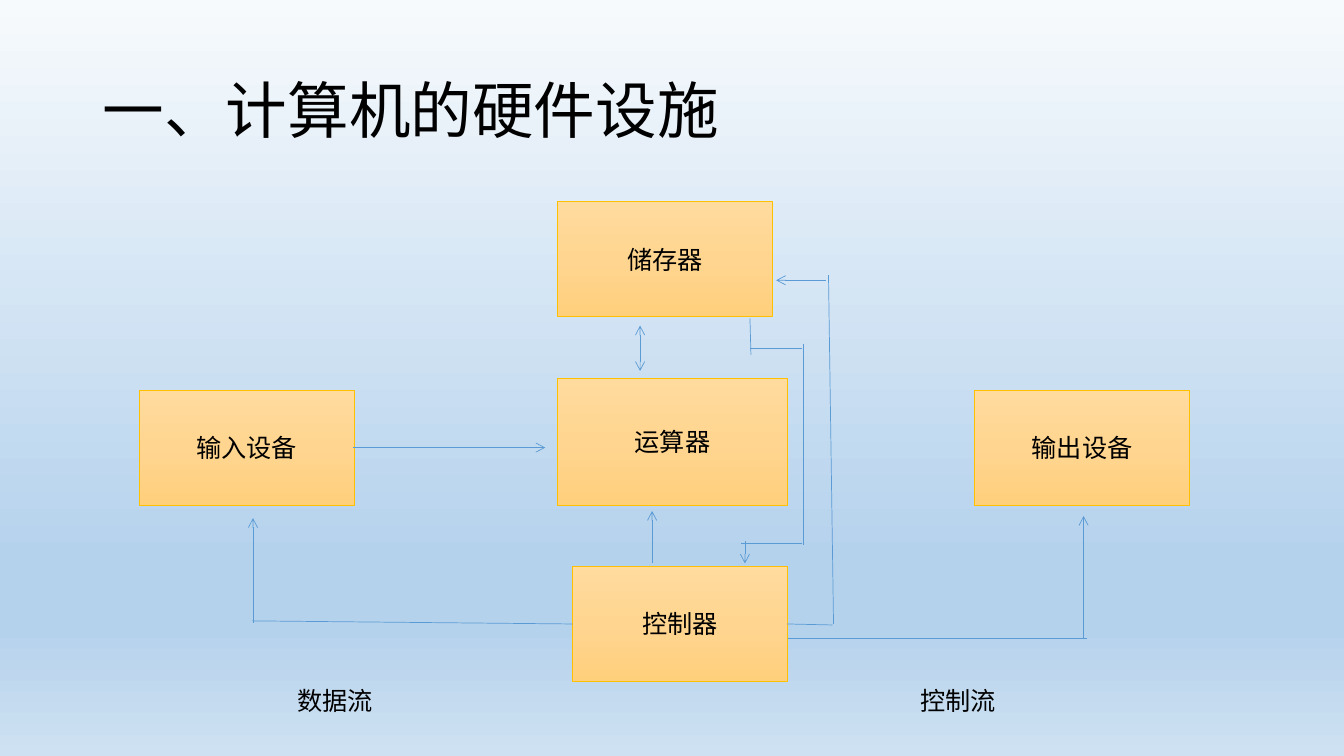
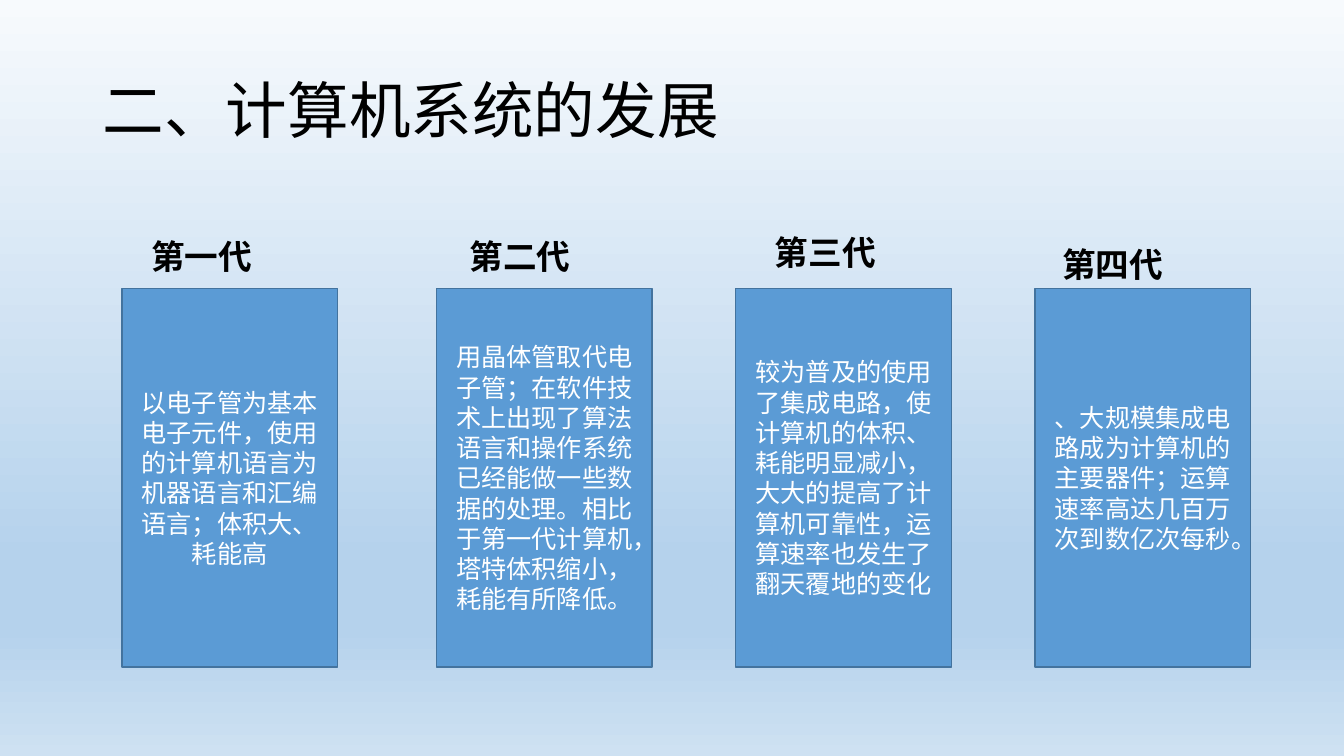
from lxml import etree
from pptx import Presentation
from pptx.dml.color import RGBColor
from pptx.enum import shapes, text
from pptx.oxml.ns import qn
from pptx.util import Pt

BLACK = RGBColor(0x00, 0x00, 0x00)
WHITE = RGBColor(0xFF, 0xFF, 0xFF)
BLUE = RGBColor(0x5B, 0x9B, 0xD5)
NAVY = RGBColor(0x43, 0x73, 0x9E)
GOLD = RGBColor(0xFF, 0xC0, 0x00)
SKY = [
    (0, RGBColor(0xF7, 0xFA, 0xFD)),
    (74, RGBColor(0xB5, 0xD2, 0xEC)),
    (83, RGBColor(0xB5, 0xD2, 0xEC)),
    (100, RGBColor(0xCE, 0xE1, 0xF2)),
]
AMBER = [
    (0, RGBColor(0xFF, 0xDB, 0x9E)),
    (50, RGBColor(0xFF, 0xD5, 0x90)),
    (100, RGBColor(0xFF, 0xD0, 0x7C)),
]
FONT = "Calibri"

UNIT_W, UNIT_H = 153.4, 82.1
UNITS = [
    ("运算器", 398.2, 270, 164.2, 90.7),
    ("输入设备", 99.4, 278.6, UNIT_W, UNIT_H),
    ("储存器", 398.2, 144, UNIT_W, UNIT_H),
    ("输出设备", 696.2, 278.6, UNIT_W, UNIT_H),
    ("控制器", 409, 404.6, UNIT_W, UNIT_H),
]
WIRES = [
    (409, 445.7, 180, 443.5),
    (562.3, 445.7, 594.7, 446.4),
    (563, 455.8, 776.2, 455.8),
    (595.4, 445.7, 591.8, 196.6),
    (573.8, 245.5, 573.8, 389.5),
    (573.1, 388.1, 529.2, 388.1),
    (535.7, 227.5, 536.4, 253.4),
    (535.7, 249.1, 573.1, 249.1),
]
ARROWS = [
    (532.1, 386.6, 532.1, 402.5),
    (589.7, 200.2, 554.4, 200.2),
    (774, 456.5, 774, 368.6),
    (180.7, 445, 180.7, 370.1),
    (465.8, 402.5, 465.8, 365),
    (252, 319.7, 389.5, 319.7),
]
FLOWS = [("数据流", 205.2, 128.9), ("控制流", 650.2, 189.4)]

CARD_TOP, CARD_W, CARD_H = 205.9, 154.1, 270.7
AGES = [
    ("第一代", 100.8, 164.9, 109.4, 87.1,
     "以电子管为基本电子元件，使用的计算机语言为机器语言和汇编语言；体积大、耗能高"),
    ("第二代", 328.3, 164.9, 121, 311.8,
     "用晶体管取代电子管；在软件技术上出现了算法语言和操作系统已经能做一些数据的处理。"
     "相比于第一代计算机，塔特体积缩小，耗能有所降低。"),
    ("第三代", 546.5, 162, 129.6, 525.6,
     "较为普及的使用了集成电路，使计算机的体积、耗能明显减小，"
     "大大的提高了计算机可靠性，运算速率也发生了翻天覆地的变化"),
    ("第四代", 751.7, 170.6, 126.7, 739.4,
     "、大规模集成电路成为计算机的主要器件；运算速率高达几百万次到数亿次每秒。"),
]


def shade(fill, root, stops):
    fill.gradient()
    fill.gradient_angle = 270
    ramp = root.find(".//" + qn("a:gradFill")).find(qn("a:gsLst"))
    for stop in list(ramp):
        ramp.remove(stop)
    for place, color in stops:
        stop = etree.SubElement(ramp, qn("a:gs"), pos=str(place * 1000))
        etree.SubElement(stop, qn("a:srgbClr"), val=str(color))


def write(frame, words, size, color, align, bold=False):
    frame.word_wrap = True
    frame.text = words
    line = frame.paragraphs[0]
    line.alignment = align
    font = line.font
    font.name, font.size, font.bold = FONT, Pt(size), bold
    font.color.rgb = color
    return line


def start(deck, words):
    slide = deck.slides.add_slide(deck.slide_layouts[5])
    title = slide.shapes.title
    title.left, title.top = Pt(66.2), Pt(28.8)
    title.width, title.height = Pt(828), Pt(104.4)
    frame = title.text_frame
    frame.auto_size = text.MSO_AUTO_SIZE.NONE
    frame.vertical_anchor = text.MSO_ANCHOR.MIDDLE
    line = write(frame, words, 44, BLACK, text.PP_ALIGN.LEFT)
    line.line_spacing = 0.9
    return slide


def panel(slide, words, x, y, w, h, color, edge, weight):
    box = slide.shapes.add_shape(
        shapes.MSO_SHAPE.RECTANGLE, Pt(x), Pt(y), Pt(w), Pt(h))
    box.shadow.inherit = False
    box.line.color.rgb = edge
    box.line.width = Pt(weight)
    box.text_frame.vertical_anchor = text.MSO_ANCHOR.MIDDLE
    write(box.text_frame, words, 18, color, text.PP_ALIGN.CENTER)
    return box


def label(slide, words, x, y, w, h, size, bold=False):
    box = slide.shapes.add_textbox(Pt(x), Pt(y), Pt(w), Pt(h))
    write(box.text_frame, words, size, BLACK, text.PP_ALIGN.LEFT, bold)
    box.text_frame.auto_size = text.MSO_AUTO_SIZE.SHAPE_TO_FIT_TEXT


def link(slide, ends, *tips):
    wire = slide.shapes.add_connector(
        shapes.MSO_CONNECTOR.STRAIGHT, *(Pt(end) for end in ends))
    wire.line.color.rgb = BLUE
    wire.line.width = Pt(0.5)
    props = wire.element.spPr
    for tip in tips:
        etree.SubElement(props.find(qn("a:ln")), qn(tip), type="arrow")
    etree.SubElement(props, qn("a:effectLst"))


def parts(deck):
    slide = start(deck, "一、计算机的硬件设施")
    for unit in UNITS:
        box = panel(slide, *unit, BLACK, GOLD, 0.5)
        shade(box.fill, box.element, AMBER)
    for ends in WIRES:
        link(slide, ends)
    for ends in ARROWS:
        link(slide, ends, "a:tailEnd")
    link(slide, (457.2, 232.6, 457.2, 265), "a:headEnd", "a:tailEnd")
    for words, x, w in FLOWS:
        label(slide, words, x, 486, w, 29.1, 18)


def growth(deck):
    slide = start(deck, "二、计算机系统的发展")
    for name, x, y, w, left, words in AGES:
        card = panel(slide, words, left, CARD_TOP, CARD_W, CARD_H,
                     WHITE, NAVY, 1)
        card.fill.solid()
        card.fill.fore_color.rgb = BLUE
        label(slide, name, x, y, w, 36.4, 24, True)


def main():
    deck = Presentation()
    deck.slide_width, deck.slide_height = Pt(960), Pt(540)
    master = deck.slide_master
    shade(master.background.fill, master.element, SKY)
    parts(deck)
    growth(deck)
    deck.save("out.pptx")


main()
